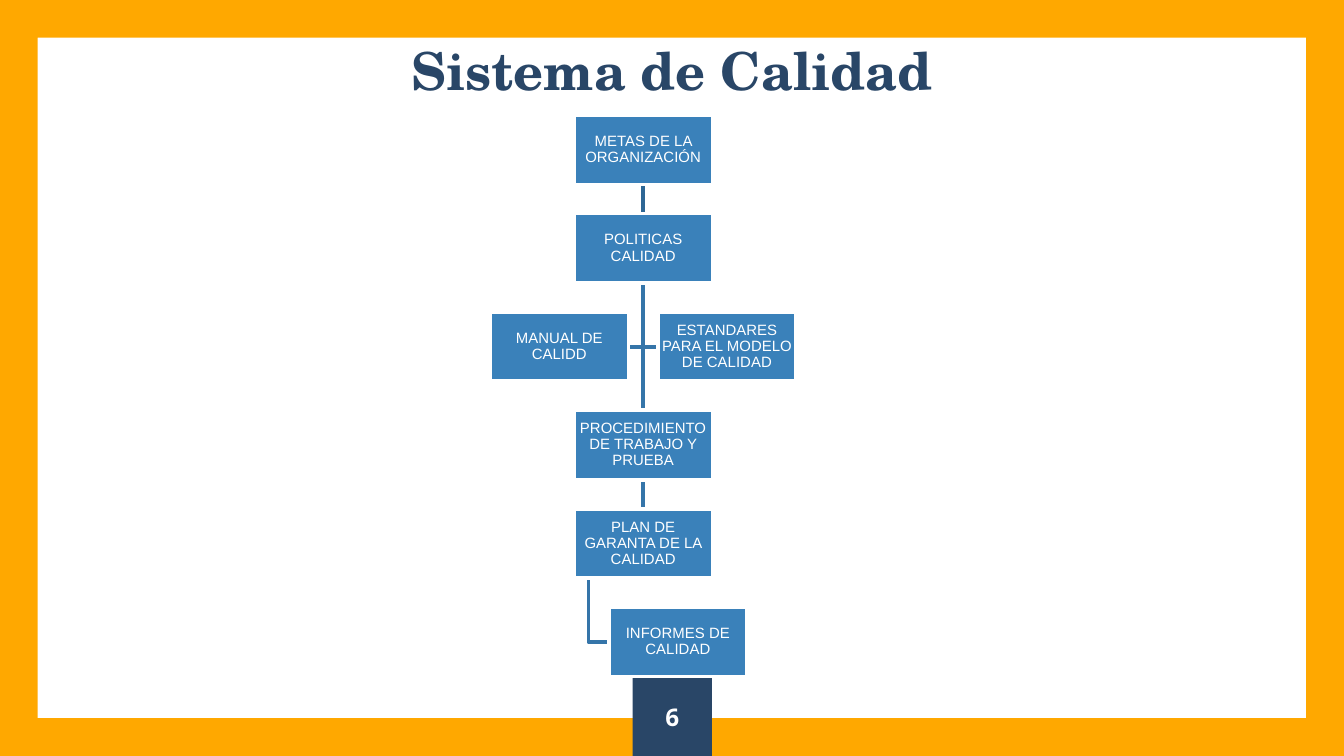
from lxml.etree import SubElement
from pptx import Presentation
from pptx.dml.color import RGBColor
from pptx.enum.shapes import MSO_CONNECTOR, MSO_SHAPE
from pptx.enum.text import MSO_ANCHOR, PP_ALIGN
from pptx.oxml.ns import qn
from pptx.util import Pt

COLORS = {
    "frame": "FFA800",
    "navy": "294667",
    "box": "3A81BA",
    "link": "3575A9",
    "top_link": "2E6795",
    "white": "FFFFFF",
}
SLIDE_WIDTH, SLIDE_HEIGHT = 720, 405


def color(name):
    return RGBColor.from_string(COLORS[name])


def add_rectangle(slide, box, fill, preset=MSO_SHAPE.RECTANGLE, outline=None):
    shape = slide.shapes.add_shape(preset, *map(Pt, box))
    shape.shadow.inherit = False
    shape.fill.solid()
    shape.fill.fore_color.rgb = color(fill)
    if outline:
        shape.line.color.rgb = color(outline)
        shape.line.width = Pt(2)
    else:
        shape.line.fill.background()
    return shape


def write(shape, text, font, size, ink, bold=False, anchor=MSO_ANCHOR.MIDDLE, inset=7.2):
    """Put one centred paragraph into a shape and return the paragraph."""
    text_frame = shape.text_frame
    text_frame.text = text
    text_frame.word_wrap = True
    text_frame.vertical_anchor = anchor
    text_frame.margin_left = text_frame.margin_right = Pt(inset)
    text_frame.margin_top = text_frame.margin_bottom = Pt(inset)
    paragraph = text_frame.paragraphs[0]
    paragraph.alignment = PP_ALIGN.CENTER
    run_font = paragraph.runs[0].font
    run_font.name, run_font.size, run_font.bold = font, Pt(size), bold
    run_font.color.rgb = color(ink)
    return paragraph


def add_line(slide, start, end, ink="link"):
    connector = slide.shapes.add_connector(
        MSO_CONNECTOR.STRAIGHT, *map(Pt, (*start, *end)))
    connector.line.color.rgb = color(ink)
    connector.line.width = Pt(2)
    SubElement(connector._element.spPr, qn("a:effectLst"))


def add_elbow(slide, start, end):
    """Draw a line that goes down first and then sideways."""
    builder = slide.shapes.build_freeform(Pt(start[0]), Pt(start[1]))
    builder.add_line_segments(
        [(Pt(start[0]), Pt(end[1])), (Pt(end[0]), Pt(end[1]))], close=False)
    elbow = builder.convert_to_shape()
    elbow.shadow.inherit = False
    elbow.fill.background()
    elbow.line.color.rgb = color("link")
    elbow.line.width = Pt(2)


def add_frame(slide, box):
    frame = add_rectangle(slide, box, "frame", MSO_SHAPE.FRAME)
    frame.adjustments[0] = 0.05


def add_title(slide, box, text):
    title = slide.shapes.add_textbox(*map(Pt, box))
    write(title, text, "TeX Gyre Schola", 28, "navy", True, MSO_ANCHOR.BOTTOM)


def add_page_number(slide, box, number):
    badge = add_rectangle(slide, box, "navy")
    write(badge, number, "Open Sans", 13, "white", True)


def add_chart_of_quality(slide, box):
    left, top, width, height = box
    rows = 6
    box_width, box_height = 74.2, 37.2
    pitch = (height - box_height) / (rows - 1)
    side_gap = width - 2 * box_width
    center = left + width / 2
    column = center - box_width / 2
    trunk = column + 7.7
    report_left = column + 18.6

    def row_top(row):
        return top + row * pitch

    def row_bottom(row):
        return row_top(row) + box_height

    def row_middle(row):
        return row_top(row) + box_height / 2

    # Links, drawn beneath the boxes
    for side in (1, -1):
        add_elbow(slide, (center, row_bottom(1)),
                  (center + side * side_gap / 2, row_middle(2)))
    add_elbow(slide, (trunk, row_bottom(4)), (report_left, row_middle(5)))
    for upper, lower, ink in ((3, 4, "link"), (1, 3, "link"), (0, 1, "top_link")):
        add_line(slide, (center, row_bottom(upper)), (center, row_top(lower)), ink)

    # Boxes: left edge, row, label
    boxes = (
        (column, 0, "METAS DE LA ORGANIZACIÓN"),
        (column, 1, "POLITICAS CALIDAD"),
        (column, 3, "PROCEDIMIENTO DE TRABAJO Y PRUEBA"),
        (column, 4, "PLAN DE GARANTA DE LA CALIDAD"),
        (report_left, 5, "INFORMES DE CALIDAD"),
        (left, 2, "MANUAL DE CALIDD"),
        (left + width - box_width, 2, "ESTANDARES PARA EL MODELO DE CALIDAD"),
    )
    for box_left, row, label in boxes:
        shape = add_rectangle(slide, (box_left, row_top(row), box_width, box_height),
                              "box", outline="white")
        paragraph = write(shape, label, "Arial", 8, "white", inset=0.4)
        paragraph.line_spacing = 0.9


def main():
    presentation = Presentation()
    presentation.slide_width = Pt(SLIDE_WIDTH)
    presentation.slide_height = Pt(SLIDE_HEIGHT)
    slide = presentation.slides.add_slide(presentation.slide_layouts[6])
    slide.background.fill.solid()
    slide.background.fill.fore_color.rgb = color("white")

    add_frame(slide, (0, 0, SLIDE_WIDTH, SLIDE_HEIGHT))
    add_page_number(slide, (339, 363, 42.4, 42.4), "6")
    add_title(slide, (187.2, 6.5, 345.6, 54.7), "Sistema de Calidad")
    add_chart_of_quality(slide, (262.6, 61.7, 164, 300.8))
    presentation.save("out.pptx")


if __name__ == "__main__":
    main()
